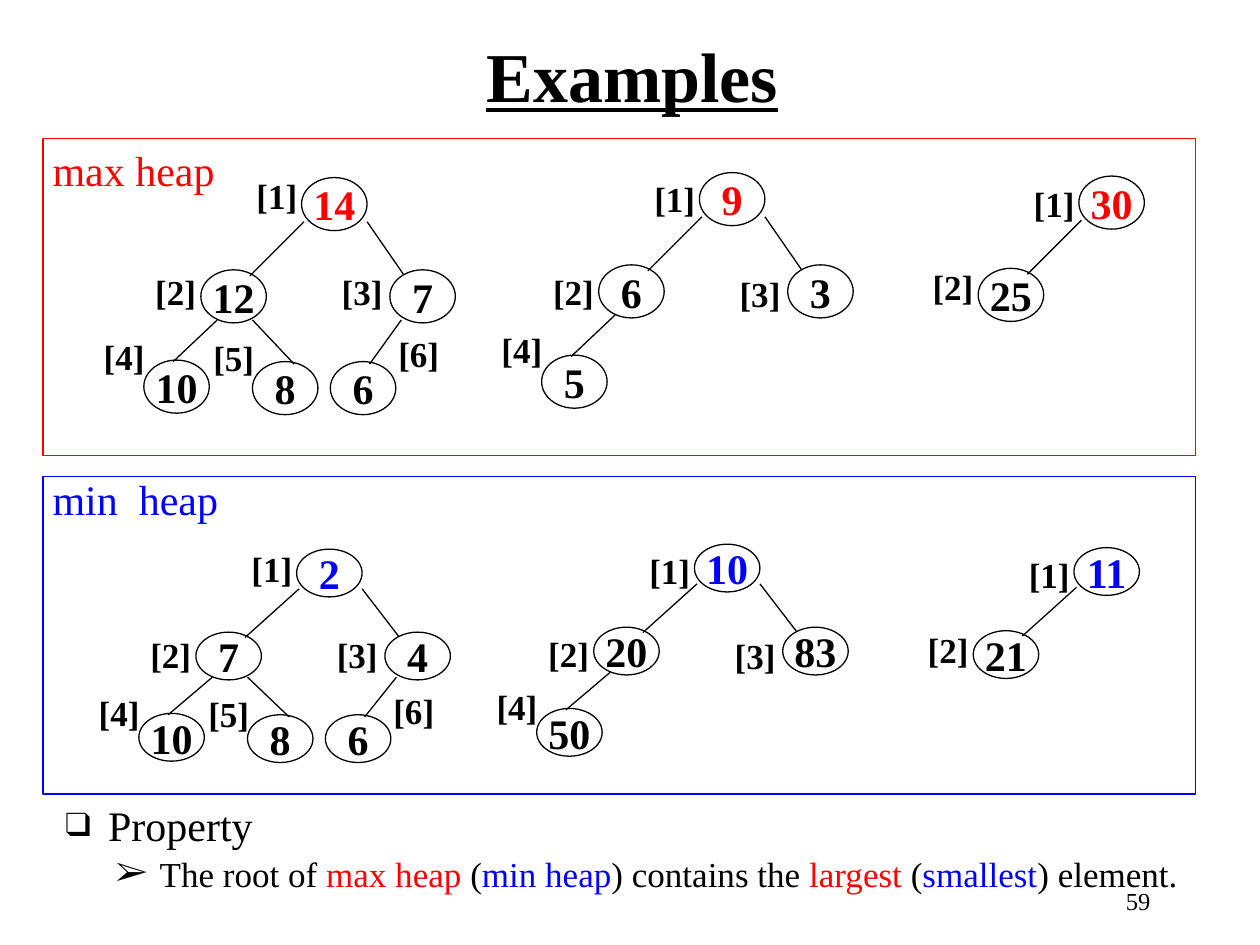
from lxml import etree
from pptx import Presentation
from pptx.dml.color import RGBColor
from pptx.enum.shapes import MSO_CONNECTOR, MSO_SHAPE
from pptx.enum.text import MSO_ANCHOR, PP_ALIGN
from pptx.oxml.ns import qn
from pptx.util import Cm, Pt

FONT = "Times New Roman"
BLACK, RED, BLUE = "000000", "FF0000", "0000FF"
NODE_WIDTH, NODE_HEIGHT = 1.32, 1.07

# Offsets in cm from the root, by heap index
NODES = {1: (0, 0), 2: (-2.03, 1.86), 3: (1.78, 1.86),
         4: (-3.18, 3.68), 5: (-0.99, 3.71), 6: (0.58, 3.71)}
# Edge that leads to each child: start x, start y, end x, end y
EDGES = {2: (0.05, 0.89, -1.04, 1.98), 3: (1.32, 0.89, 2.06, 1.96),
         4: (-1.7, 2.87, -2.59, 3.71), 5: (-0.99, 2.87, -0.15, 3.76),
         6: (2.01, 2.87, 1.37, 3.76)}
LABEL_X = {1: -1.16, 2: -3.2, 3: 0.56, 4: -4.24, 5: -2.03, 6: 1.7}

# Root position in the panel, and the label heights of each tree
TREES = [
    (5.21, 0.79, [-0.18, 1.75, 1.75, 3.05, 3.07, 3]),
    (13.23, 0.69, [-0.03, 1.85, 1.88, 3.02]),
    (20.88, 0.76, [0, 1.68]),
]
MAX_HEAPS = [[14, 12, 7, 10, 8, 6], [9, 6, 3, 5], [30, 25]]
MIN_HEAPS = [[2, 7, 4, 10, 8, 6], [10, 20, 83, 50], [11, 21]]


def color(value):
    return RGBColor.from_string(value)


def add_run(paragraph, text, size, hex_color=BLACK, bold=False, underline=False):
    run = paragraph.add_run()
    run.text = text
    run.font.name = FONT
    run.font.size = Pt(size)
    run.font.bold = bold
    run.font.underline = underline
    run.font.color.rgb = color(hex_color)


def add_text_box(slide, left, top, width, height, wrap=True):
    box = slide.shapes.add_textbox(Cm(left), Cm(top), Cm(width), Cm(height))
    box.text_frame.word_wrap = wrap
    return box.text_frame


def add_outline(slide, kind, left, top, width, height, hex_color):
    shape = slide.shapes.add_shape(kind, Cm(left), Cm(top), Cm(width), Cm(height))
    shape.shadow.inherit = False
    shape.fill.background()
    shape.line.color.rgb = color(hex_color)
    shape.line.width = Pt(0.75)
    return shape


def add_node(slide, left, top, height, value, hex_color):
    shape = add_outline(slide, MSO_SHAPE.OVAL, left, top, NODE_WIDTH, height, BLACK)
    frame = shape.text_frame
    frame.word_wrap = False
    frame.vertical_anchor = MSO_ANCHOR.MIDDLE
    frame.margin_left = frame.margin_right = 0
    frame.margin_top = frame.margin_bottom = 0
    paragraph = frame.paragraphs[0]
    paragraph.alignment = PP_ALIGN.CENTER
    add_run(paragraph, str(value), 24, hex_color, bold=True)


def add_edge(slide, x1, y1, x2, y2):
    edge = slide.shapes.add_connector(
        MSO_CONNECTOR.STRAIGHT, Cm(x1), Cm(y1), Cm(x2), Cm(y2))
    edge.line.color.rgb = color(BLACK)
    edge.line.width = Pt(0.75)
    etree.SubElement(edge._element.spPr, qn("a:effectLst"))


def add_tree(slide, left, top, scale, values, label_heights, root_color):
    """Draw a heap whose root has its corner at left, top."""
    for index, (value, label_y) in enumerate(zip(values, label_heights), 1):
        x, y = NODES[index]
        add_node(slide, left + x, top + y * scale, NODE_HEIGHT * scale, value,
                 root_color if index == 1 else BLACK)
        if index in EDGES:
            x1, y1, x2, y2 = EDGES[index]
            add_edge(slide, left + x1, top + y1 * scale, left + x2, top + y2 * scale)
        label = add_text_box(slide, left + LABEL_X[index], top + label_y * scale,
                             NODE_WIDTH, 1.09)
        label.margin_right = 0
        add_run(label.paragraphs[0], f"[{index}]", 20, bold=True)


def add_panel(slide, left, top, width, height, name, name_y, hex_color,
              heaps, shift, scale):
    """Draw a framed row of heaps; shift moves the trees inside the frame."""
    add_outline(slide, MSO_SHAPE.RECTANGLE, left, top, width, height, hex_color)
    heading = add_text_box(slide, left - 0.06, top + name_y, 3.9, 1.3)
    heading.margin_right = 0
    add_run(heading.paragraphs[0], name, 24, hex_color)
    for (x, y, label_heights), values in zip(TREES, heaps):
        add_tree(slide, left + x + shift[0], top + y + shift[1], scale,
                 values, label_heights, hex_color)


def add_bullet(paragraph, symbol, percent, margin, indent):
    properties = paragraph._p.get_or_add_pPr()
    properties.set("marL", str(Cm(margin)))
    properties.set("indent", str(Cm(-indent)))
    etree.SubElement(properties, qn("a:buSzPct"), val=str(percent * 1000))
    etree.SubElement(properties, qn("a:buFont"), typeface=FONT)
    etree.SubElement(properties, qn("a:buChar"), char=symbol)


def add_property(slide, left, top, width, height):
    frame = add_text_box(slide, left, top, width, height)
    heading = frame.paragraphs[0]
    add_bullet(heading, "❑", 80, 0.86, 0.86)
    add_run(heading, "Property", 24)

    detail = frame.add_paragraph()
    detail.level = 1
    add_bullet(detail, "➢", 100, 1.9, 0.89)
    detail.space_before = Pt(1)
    for text, hex_color in [
        ("The root of ", BLACK), ("max heap ", RED), ("(", BLACK),
        ("min heap", BLUE), (") contains the ", BLACK), ("largest ", RED),
        ("(", BLACK), ("smallest", BLUE), (") element.", BLACK),
    ]:
        add_run(detail, text, 20, hex_color)


def add_title(slide, left, top, width, height):
    paragraph = add_text_box(slide, left, top, width, height).paragraphs[0]
    paragraph.alignment = PP_ALIGN.CENTER
    add_run(paragraph, "Examples", 40, bold=True, underline=True)


def add_page_number(slide, left, top, width, height):
    paragraph = add_text_box(slide, left, top, width, height).paragraphs[0]
    paragraph.alignment = PP_ALIGN.RIGHT
    add_run(paragraph, "59", 14)


def main():
    presentation = Presentation()
    presentation.slide_width, presentation.slide_height = Cm(25.4), Cm(19.05)
    slide = presentation.slides.add_slide(presentation.slide_layouts[6])

    add_title(slide, 6.13, 0.53, 13.23, 1.96)
    add_panel(slide, 0.87, 2.79, 23.23, 6.4, "max heap", 0, RED,
              MAX_HEAPS, (0, 0), 1)
    add_panel(slide, 0.87, 9.61, 23.23, 6.4, "min  heap", -0.18, BLUE,
              MIN_HEAPS, (-0.1, 0.67), 0.9)
    add_property(slide, 1.07, 16, 23.65, 2.1)
    add_page_number(slide, 18.16, 17.73, 5.28, 1.2)

    presentation.save("out.pptx")


if __name__ == "__main__":
    main()
